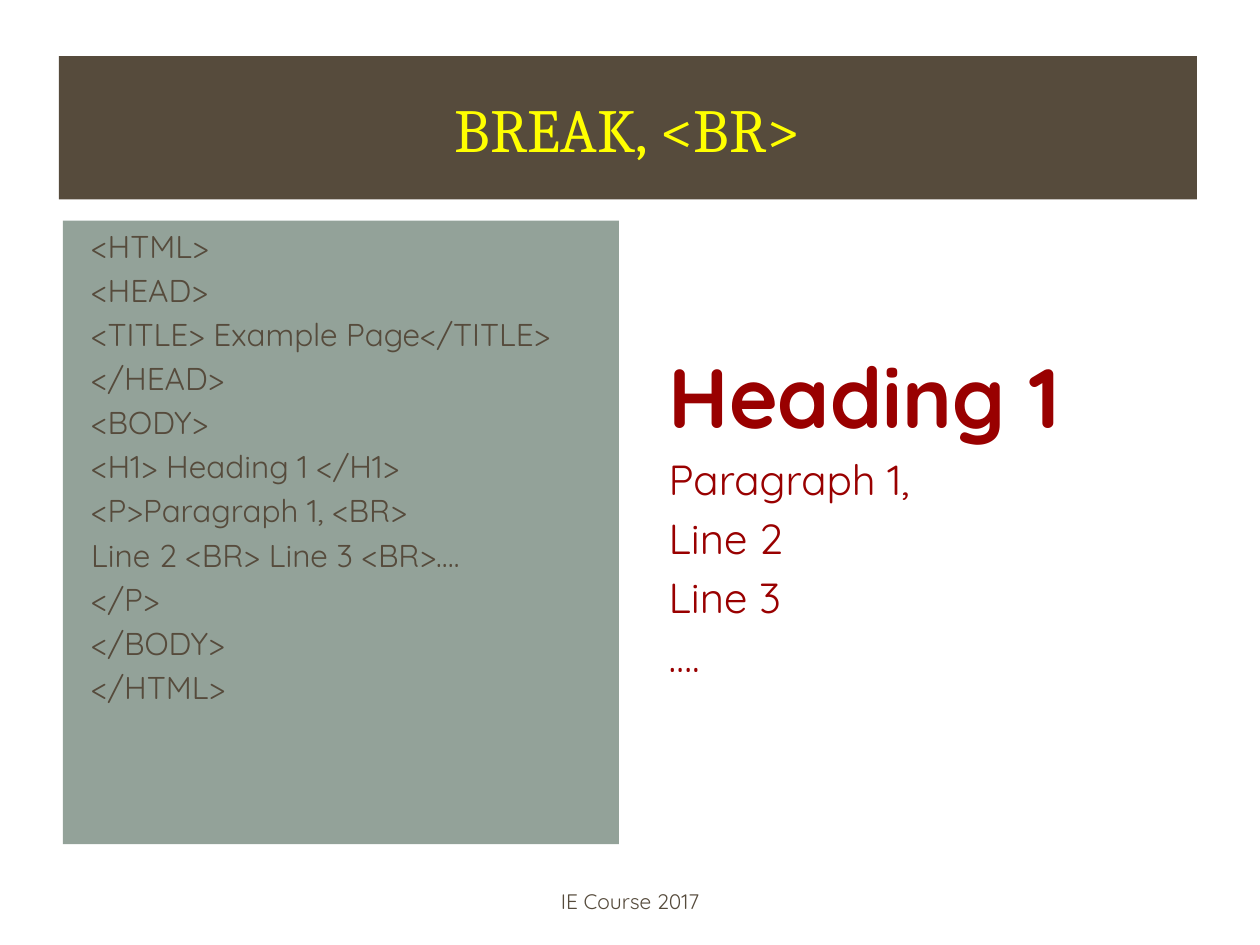
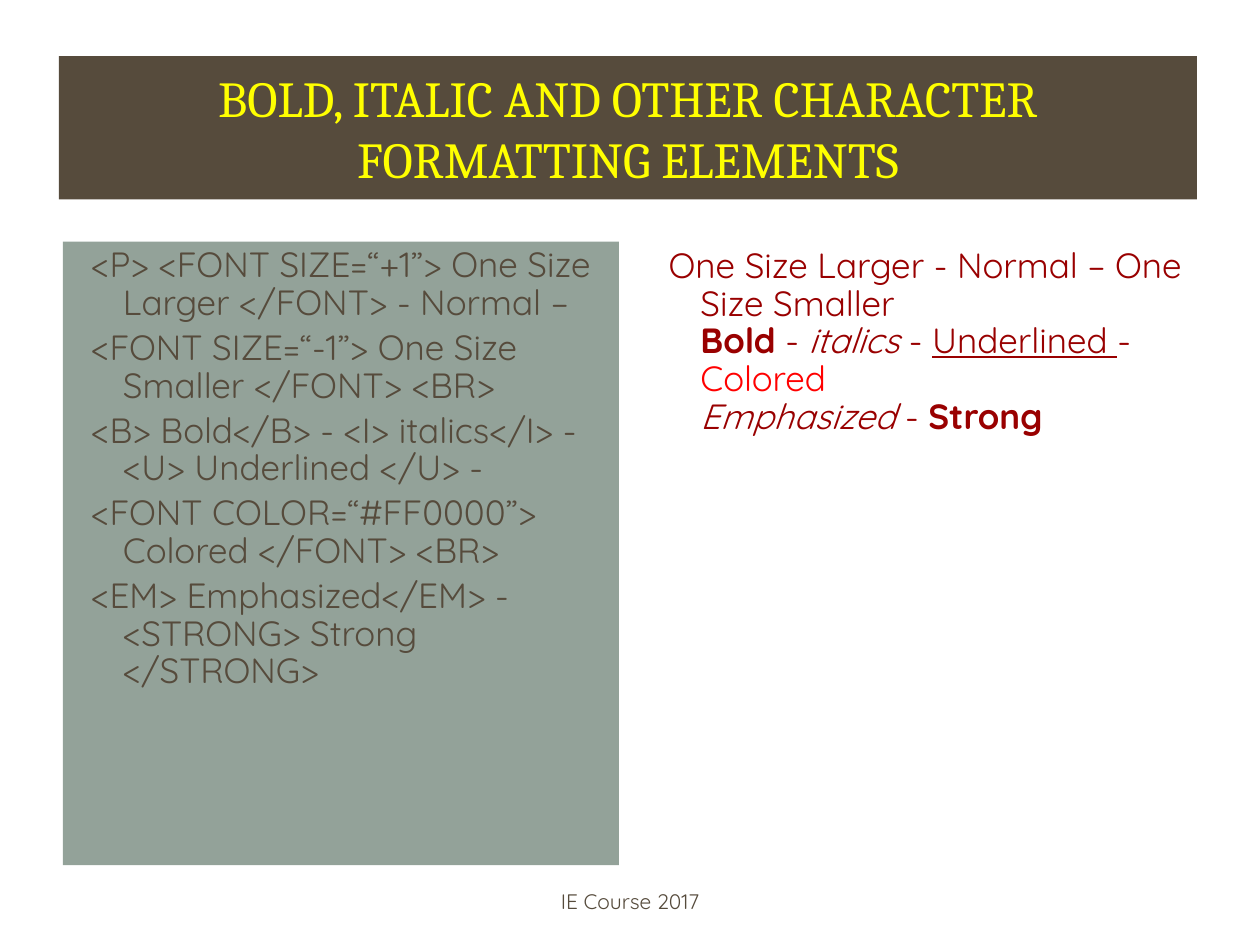
"""Build two slides that show HTML source beside its rendered result."""
from dataclasses import dataclass

from pptx import Presentation
from pptx.dml.color import RGBColor
from pptx.enum.shapes import MSO_SHAPE
from pptx.enum.text import MSO_ANCHOR, PP_ALIGN
from pptx.util import Cm, Pt


@dataclass(frozen=True)
class Theme:
    """Colours, fonts and type sizes shared by the slides."""
    white: str = "FFFFFF"
    brown: str = "564B3C"
    sage: str = "93A299"
    yellow: str = "FFFF00"
    maroon: str = "990000"
    red: str = "FF0000"
    title_font: str = "Cambria"
    body_font: str = "Quicksand"
    title: float = 35
    long_title: float = 28.8
    heading: float = 48
    result: float = 24
    text: float = 20
    code: float = 18
    footer: float = 12


THEME = Theme()
CARD = (0.25, 0.28, 24.89, 18.52)
BAND = (1.19, 1.13, 22.94, 2.89)
FOOTER = (8.68, 17.65, 8.05, 1.02)
CODE_LEFT, RESULT_LEFT = 1.27, 12.91
PANEL_SIZE = (11.21, 12.57)
CENTERED = {"alignment": PP_ALIGN.CENTER}

BREAK_CODE = [
    "<HTML>",
    "<HEAD>",
    "<TITLE> Example Page</TITLE>",
    "</HEAD>",
    "<BODY>",
    "<H1> Heading 1 </H1>",
    "<P>Paragraph 1, <BR>",
    "Line 2 <BR> Line 3 <BR>….",
    "</P>",
    "</BODY>",
    "</HTML>",
]
BREAK_RESULT = ["Paragraph 1,", "Line 2", "Line 3", "…."]
FORMAT_CODE = [
    "<P> <FONT SIZE=“+1”> One Size Larger </FONT> - Normal –",
    "<FONT SIZE=“-1”> One Size Smaller </FONT> <BR>",
    "<B> Bold</B> - <I> italics</I> - <U> Underlined </U> -",
    "<FONT COLOR=“#FF0000”> Colored </FONT> <BR>",
    "<EM> Emphasized</EM> - <STRONG> Strong </STRONG>",
]
FORMAT_RESULT = [
    [("One Size Larger - Normal – One Size Smaller", {})],
    [("Bold", {"bold": True}), (" - ", {}), ("italics", {"italic": True}),
     (" - ", {}), ("Underlined ", {"underline": True}), ("- ", {}),
     ("Colored", {"color": THEME.red})],
    [("Emphasized", {"italic": True}), (" - ", {}), ("Strong", {"bold": True})],
]


def set_attrs(obj, values):
    """Set each named attribute of an object."""
    for name, value in values.items():
        setattr(obj, name, value)


def add_panel(slide, box, fill, kind=MSO_SHAPE.RECTANGLE):
    """Add a filled shape without line or shadow."""
    sp = slide.shapes.add_shape(kind, *[Cm(v) for v in box])
    sp.shadow.inherit = False
    sp.fill.solid()
    sp.fill.fore_color.rgb = RGBColor.from_string(fill)
    sp.line.fill.background()
    return sp


def add_box(slide, box, fill=None, **frame):
    """Add a filled rectangle or a plain text box and return its text frame."""
    if fill:
        sp = add_panel(slide, box, fill)
    else:
        sp = slide.shapes.add_textbox(*[Cm(v) for v in box])
    tf = sp.text_frame
    set_attrs(tf, {"word_wrap": True, "vertical_anchor": MSO_ANCHOR.TOP, **frame})
    return tf


def add_run(p, text, size, color, name=THEME.body_font, **font):
    """Append a formatted run to a paragraph."""
    r = p.add_run()
    r.text = text
    set_attrs(r.font, {"size": Pt(size), "name": name, **font})
    r.font.color.rgb = RGBColor.from_string(color)


def next_paragraph(tf, **values):
    """Return the unused first paragraph or a new one, formatted."""
    p = tf.paragraphs[0]
    if p.runs:
        p = tf.add_paragraph()
    set_attrs(p, values)
    return p


def hanging_paragraph(tf, size, spacing=1.0):
    """Start a left-aligned paragraph with a hanging indent."""
    p = next_paragraph(tf, alignment=PP_ALIGN.LEFT, line_spacing=spacing,
                       space_before=Pt(size * 0.2))
    pPr = p._p.get_or_add_pPr()
    pPr.set("marL", str(Cm(0.96)))
    pPr.set("indent", str(Cm(-0.64)))
    return p


def add_lines(tf, lines, size, color, spacing=1.0, **font):
    """Add one hanging paragraph for each line."""
    for line in lines:
        add_run(hanging_paragraph(tf, size, spacing), line, size, color, **font)


def add_rich_lines(tf, lines, size, color, spacing):
    """Add one hanging paragraph with mixed runs and line breaks."""
    p = hanging_paragraph(tf, size, spacing)
    for i, line in enumerate(lines):
        if i:
            p.add_line_break()
        for text, font in line:
            add_run(p, text, size, **{"color": color, **font})


def add_frame(prs, title, size):
    """Add a slide with its card, title band and footer."""
    slide = prs.slides.add_slide(prs.slide_layouts[6])
    card = add_panel(slide, CARD, THEME.white, MSO_SHAPE.ROUNDED_RECTANGLE)
    card.adjustments[0] = 0.02
    tf = add_box(slide, BAND, THEME.brown, vertical_anchor=MSO_ANCHOR.MIDDLE)
    add_run(next_paragraph(tf, **CENTERED), title, size, THEME.yellow, THEME.title_font)
    tf = add_box(slide, FOOTER, vertical_anchor=MSO_ANCHOR.MIDDLE)
    add_run(next_paragraph(tf, **CENTERED), "IE Course 2017", THEME.footer, THEME.brown)
    return slide


def add_panels(slide, top, result_inset=0.13):
    """Add the code panel and the result area and return their text frames."""
    code = add_box(slide, (CODE_LEFT, top, *PANEL_SIZE), THEME.sage)
    result = add_box(slide, (RESULT_LEFT, top, *PANEL_SIZE),
                     margin_top=Cm(result_inset))
    return code, result


def add_break_slide(prs):
    """Add the slide on the line break element."""
    slide = add_frame(prs, "BREAK, <BR>", THEME.title)
    code, result = add_panels(slide, 4.45, result_inset=2.5)
    add_lines(code, BREAK_CODE, THEME.code, THEME.brown)
    add_lines(result, ["Heading 1"], THEME.heading, THEME.maroon, bold=True)
    add_lines(result, BREAK_RESULT, THEME.result, THEME.maroon)


def add_format_slide(prs):
    """Add the slide on character formatting elements."""
    slide = add_frame(prs, "BOLD, ITALIC AND OTHER CHARACTER FORMATTING ELEMENTS",
                      THEME.long_title)
    code, result = add_panels(slide, 4.87)
    add_lines(code, FORMAT_CODE, THEME.text, THEME.brown, spacing=0.9)
    add_rich_lines(result, FORMAT_RESULT, THEME.text, THEME.maroon, spacing=0.9)


def main():
    """Build and save the presentation."""
    prs = Presentation()
    set_attrs(prs, {"slide_width": Cm(25.4), "slide_height": Cm(19.05)})
    add_break_slide(prs)
    add_format_slide(prs)
    prs.save("out.pptx")


if __name__ == "__main__":
    main()
